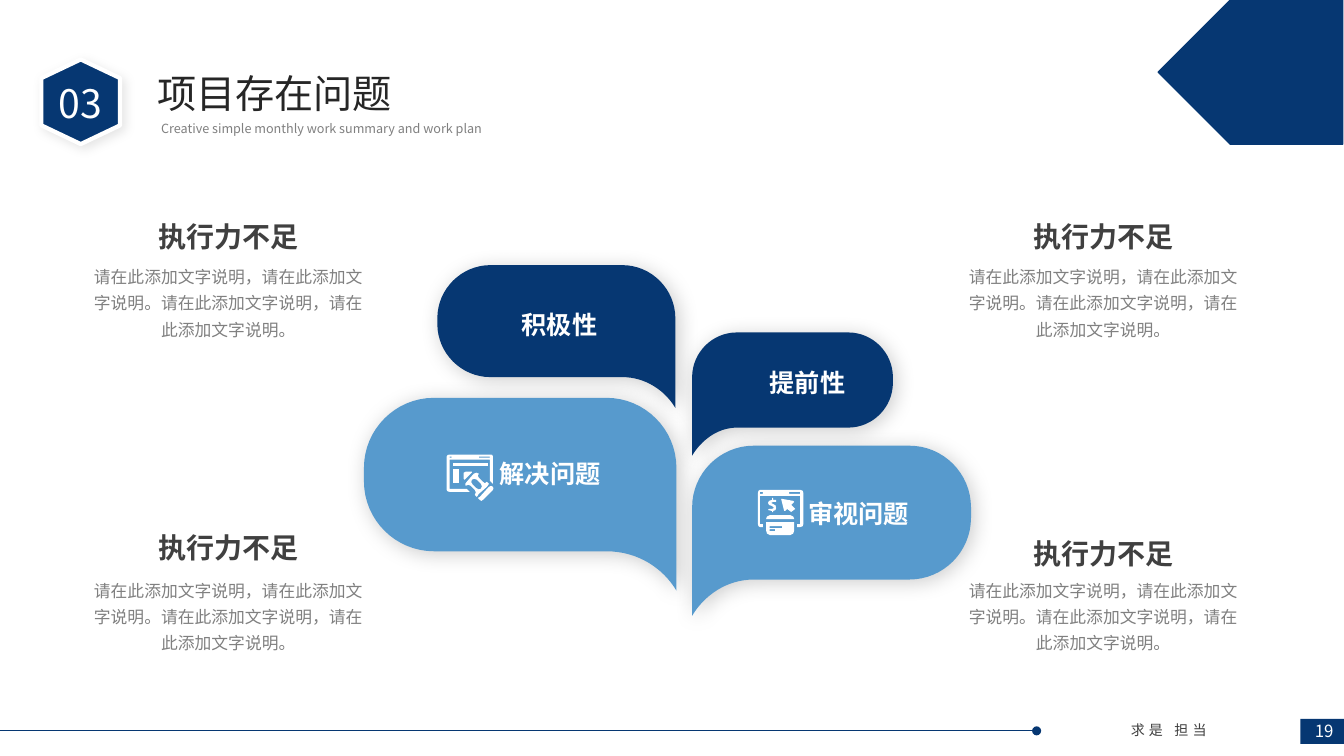
from lxml import etree
from pptx import Presentation
from pptx.dml.color import RGBColor
from pptx.enum.shapes import MSO_CONNECTOR, MSO_SHAPE
from pptx.enum.text import PP_ALIGN
from pptx.oxml.ns import qn
from pptx.util import Pt

CENTER, LEFT = PP_ALIGN.CENTER, PP_ALIGN.LEFT
RECTANGLE, OVAL = MSO_SHAPE.RECTANGLE, MSO_SHAPE.OVAL
HEXAGON, PENTAGON = MSO_SHAPE.HEXAGON, MSO_SHAPE.PENTAGON
STRAIGHT = MSO_CONNECTOR.STRAIGHT
FONT = "Noto Sans CJK SC"
NAVY, SKY, WHITE = "063772", "579ACD", "FFFFFF"
GRAY, DARK, INK = "808080", "404040", "262626"
ICON_UNIT = 0.72
HEADING = "执行力不足"
DETAIL = "请在此添加文字说明，请在此添加文字说明。请在此添加文字说明，请在此添加文字说明。"


def color(value):
    return RGBColor.from_string(value)


def paint(shape, fill, line=None, line_width=1):
    shape.shadow.inherit = False
    shape.fill.solid()
    shape.fill.fore_color.rgb = color(fill)
    if line:
        shape.line.color.rgb = color(line)
        shape.line.width = Pt(line_width)
    else:
        shape.line.fill.background()


def add_shadow(shape, opacity, blur):
    effects = shape._element.spPr.find(qn("a:effectLst"))
    outer = etree.SubElement(effects, qn("a:outerShdw"), blurRad=str(Pt(blur)),
                             dist=str(Pt(3)), dir="2700000", algn="tl", rotWithShape="0")
    black = etree.SubElement(outer, qn("a:srgbClr"), val="000000")
    etree.SubElement(black, qn("a:alpha"), val=str(opacity * 1000))


def add_preset(page, kind, left, top, width, height, fill, **line):
    shape = page.shapes.add_shape(kind, Pt(left), Pt(top), Pt(width), Pt(height))
    paint(shape, fill, **line)
    return shape


def add_text(page, text, left, top, width, height, size, ink, bold=False,
             align=CENTER, spacing=None, tracking=None, wrap=True):
    box = page.shapes.add_textbox(Pt(left), Pt(top), Pt(width), Pt(height))
    box.text_frame.word_wrap = wrap
    para = box.text_frame.paragraphs[0]
    para.alignment = align
    if spacing:
        para.line_spacing = spacing
    span = para.add_run()
    span.text = text
    span.font.size, span.font.bold = Pt(size), bold
    span.font.name, span.font.color.rgb = FONT, color(ink)
    properties = span._r.get_or_add_rPr()
    etree.SubElement(properties, qn("a:ea"), typeface=FONT)
    if tracking:
        properties.set("spc", str(tracking * 100))


def add_outline(page, contours, fill):
    contours = [[(Pt(x), Pt(y)) for x, y in points] for points in contours]
    builder = page.shapes.build_freeform(*contours[0][0], scale=1.0)
    for index, points in enumerate(contours):
        if index:
            builder.move_to(*points[0])
        builder.add_line_segments(points[1:], close=True)
    shape = builder.convert_to_shape()
    paint(shape, fill)
    return shape


def curve(start, first, second, end, steps=16):
    points = []
    for step in range(steps + 1):
        t = step / steps
        weights = ((1 - t) ** 3, 3 * t * (1 - t) ** 2, 3 * t * t * (1 - t), t ** 3)
        points.append(tuple(sum(weight * point[axis] for weight, point in
                                zip(weights, (start, first, second, end)))
                            for axis in (0, 1)))
    return points


def add_leaf(page, left, top, width, height, body, radius, fill, stem_right):
    def corner(start, knee, end):
        controls = [tuple(a + 0.55 * (b - a) for a, b in zip(point, knee))
                    for point in (start, end)]
        return curve(start, *controls, end)

    far, near = width - radius, radius
    points = curve((0, height), (0.19 * radius, height - 0.32 * radius),
                   (0.55 * radius, body), (near, body))
    points += corner((far, body), (width, body), (width, body - radius))
    points += corner((width, radius), (width, 0), (far, 0))
    points += corner((near, 0), (0, 0), (0, radius))
    placed = [(left + (width - x if stem_right else x), top + y) for x, y in points]
    add_shadow(add_outline(page, [placed], fill), 20, 15)


def rectangle(left, top, right, bottom):
    return [(left, top), (right, top), (right, bottom), (left, bottom)]


HAMMER_ICON = [
    [rectangle(6, 8, 41, 11)],
    [rectangle(6, 14, 12, 28)],
    [[(18, 25), (17, 24), (17, 18), (19, 17), (25, 17), (25, 18)]],
    [[(40, 27), (38, 28.5), (36, 27), (32, 23), (31, 21), (32, 19), (29.5, 18),
      (27, 19), (20, 27), (18.5, 29), (19, 31), (21.5, 30), (24, 31), (28, 35),
      (29, 37.5), (28, 40), (30, 42), (32, 39), (40, 32), (42, 29)],
     [(34, 29), (35, 31.5), (34, 34), (32, 34.5), (29, 33), (26, 30), (24.5, 27.5),
      (25, 25), (27.5, 24), (30, 25)]],
    [[(44, 31), (42, 32), (33, 42), (31, 43), (33, 45), (34.5, 46), (36, 45),
      (46, 35), (46.5, 33.5), (46, 32)]],
    [[(44, 0), (3, 0), (1, 0.5), (0, 2), (0, 35), (1, 36.5), (3, 37), (23, 37),
      (20, 34), (3, 34), (3, 5), (43, 5), (43, 26), (46, 29), (46, 2), (45.5, 0.5)],
     rectangle(3, 2, 5, 3), rectangle(32, 2, 43, 3)],
]
PAYMENT_ICON = [
    [[(32, 25), (12, 25), (9, 26.5), (8, 29), (36, 29), (35, 26.5)]],
    [[(8, 32), (8, 40), (9, 43.5), (12, 45), (32, 45), (35, 43.5), (36, 40), (36, 32)],
     rectangle(11.5, 39, 17, 41), rectangle(11.5, 36, 24, 38)],
    [[(42, 0), (2, 0), (0.5, 1), (0, 3), (0, 34), (0.5, 36), (2, 37), (5, 37), (5, 34),
      (2, 34), (2, 6), (42, 6), (42, 34), (39, 34), (39, 37), (42, 37), (44.5, 36),
      (45, 34), (45, 3), (44.5, 1)],
     rectangle(2, 2, 5, 4), rectangle(31, 2, 42, 4)],
    [[(10, 13), (11, 15), (14, 16), (16, 18), (14, 19), (11, 19), (10, 20), (14, 21),
      (14, 22), (15, 22), (15, 21), (17.5, 20), (18, 18), (17.5, 15.5), (15, 14),
      (13, 13), (15, 12), (18, 12), (18, 10), (15, 10), (15, 8), (14, 8), (14, 10),
      (11, 11)]],
    [[(35, 11), (24, 9), (23, 9), (26, 21), (27, 21), (29, 19), (33, 22), (37, 19),
      (33, 15), (35, 13), (36, 12)]],
]


def add_icon(page, parts, left, top):
    for contours in parts:
        add_outline(page, [[(left + x * ICON_UNIT, top + y * ICON_UNIT)
                            for x, y in points] for points in contours], WHITE)


def add_header(page, left, top):
    badge = add_preset(page, HEXAGON, left, top, 60.5, 56.2, NAVY,
                       line=WHITE, line_width=3)
    badge.adjustments[0] = 0.238
    badge.rotation = 90
    add_shadow(badge, 10, 8)
    add_text(page, "03", left + 7.2, top + 8.6, 46, 41, 28, WHITE, wrap=False)
    add_text(page, "项目存在问题", left + 77.7, top + 1.4, 184.3, 41, 28, INK,
             align=LEFT, wrap=False)
    add_text(page, "Creative simple monthly work summary and work plan",
             left + 80.6, top + 33.1, 283, 21.6, 9, GRAY, align=LEFT, spacing=1.5)
    arrow = add_preset(page, PENTAGON, 827.3, 0, 131.8, 103, NAVY, line=NAVY)
    arrow.rotation = 180


def add_footer(page, middle):
    rule = page.shapes.add_connector(STRAIGHT, 0, Pt(middle), Pt(740.2), Pt(middle))
    rule.line.color.rgb, rule.line.width = color(NAVY), Pt(1)
    etree.SubElement(rule._element.spPr, qn("a:effectLst"))
    add_preset(page, OVAL, 737.2, middle - 3.2, 6.5, 6.5, NAVY)
    add_text(page, "求是 担当", 742.3, middle - 10, 185, 20, 10, DARK, tracking=3)
    add_preset(page, RECTANGLE, 928.8, middle - 8.6, 31.2, 18, NAVY)
    add_text(page, "19", 919.5, middle - 10.8, 52.6, 21.6, 12, WHITE)


def add_leaves(page):
    add_leaf(page, 260, 284.2, 223.2, 137.7, 109.6, 50, SKY, True)
    add_leaf(page, 312.4, 189.4, 170, 102, 80, 38, NAVY, True)
    add_leaf(page, 494.4, 318.4, 199.2, 121.5, 95.6, 44, SKY, False)
    add_leaf(page, 494.4, 237.5, 143.4, 88, 68, 32, NAVY, False)
    labels = [("积极性", 347.8, 217.4, CENTER), ("提前性", 524.9, 258.5, CENTER),
              ("解决问题", 349.9, 324, LEFT), ("审视问题", 570.2, 352.1, LEFT)]
    for text, left, top, align in labels:
        add_text(page, text, left, top, 103.7, 28.8, 18, WHITE, bold=True, align=align)
    add_icon(page, HAMMER_ICON, 319, 324.7)
    add_icon(page, PAYMENT_ICON, 541.4, 349.9)


def add_problem(page, left, top, heading_top):
    add_text(page, HEADING, left + 35, heading_top, 144, 31.7, 20, DARK, bold=True)
    add_text(page, DETAIL, left, top, 213.8, 64, 12, GRAY, spacing=1.3)


def main():
    deck = Presentation()
    deck.slide_width, deck.slide_height = Pt(960), Pt(540)
    page = deck.slides.add_slide(deck.slide_layouts[6])
    add_footer(page, 522)
    add_leaves(page)
    for left, lower_heading in ((56.2, 375.1), (681.1, 379.4)):
        add_problem(page, left, 182.9, 153.4)
        add_problem(page, left, 406.8, lower_heading)
    add_header(page, 27.4, 44.6)
    deck.save("out.pptx")


if __name__ == "__main__":
    main()
